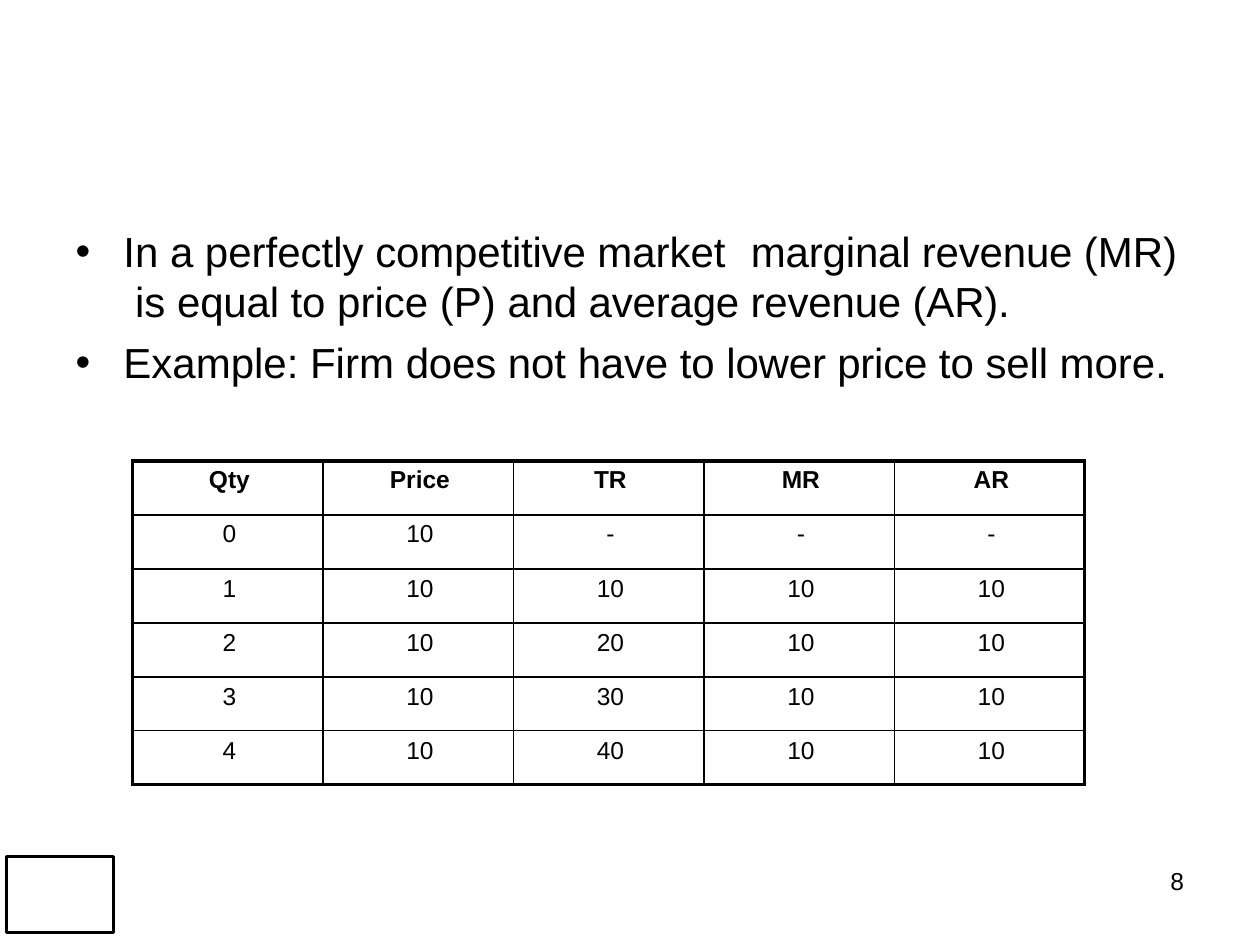
from dataclasses import dataclass

from lxml.etree import SubElement
from pptx import Presentation
from pptx.dml.color import RGBColor
from pptx.enum.shapes import MSO_SHAPE as Shape
from pptx.enum.text import MSO_ANCHOR as Anchor, PP_ALIGN as Align
from pptx.oxml.ns import qn
from pptx.util import Emu, Inches, Pt

BLACK = RGBColor(0, 0, 0)
WHITE = RGBColor(255, 255, 255)
FONT = "Arial"
SLIDE_W, SLIDE_H = Inches(10), Inches(7.5)
GRID_COLS, GRID_ROWS = 100, 75
THIN, THICK = 1, 2.25
TIGHT = -0.1


@dataclass(frozen=True)
class Box:
    col: float
    row: float
    cols: float
    rows: float

    def emu(self) -> tuple[Emu, Emu, Emu, Emu]:
        x, y = SLIDE_W / GRID_COLS, SLIDE_H / GRID_ROWS
        return (Emu(round(self.col * x)), Emu(round(self.row * y)),
                Emu(round(self.cols * x)), Emu(round(self.rows * y)))


@dataclass(frozen=True)
class Span:
    text: str
    spacing: float = 0


@dataclass(frozen=True)
class Bullet:
    spans: tuple[Span, ...]
    before: float
    tab: float | None = None


BULLETS = (
    Bullet((Span("In "), Span("a ", TIGHT), Span("perfectly "),
            Span("competitive ", TIGHT), Span("market\t"),
            Span("marginal revenue ", TIGHT), Span("(MR)  is "),
            Span("equal ", TIGHT), Span("to price (P) "),
            Span("and average revenue (AR).", TIGHT)), 1, 5.37),
    Bullet((Span("Example: "), Span("Firm "), Span("does ", TIGHT),
            Span("not "), Span("have ", TIGHT), Span("to "),
            Span("lower price ", TIGHT), Span("to "),
            Span("sell ", TIGHT), Span("more.")), 5.8),
)
REVENUE = (
    ("Qty", "Price", "TR", "MR", "AR"),
    ("0", "10", "-", "-", "-"),
    ("1", "10", "10", "10", "10"),
    ("2", "10", "20", "10", "10"),
    ("3", "10", "30", "10", "10"),
    ("4", "10", "40", "10", "10"),
)


def add_run(p, span: Span, size: float, bold: bool = False) -> None:
    r = p.add_run()
    r.text = span.text
    r.font.name, r.font.size, r.font.bold = FONT, Pt(size), bold
    r.font.color.rgb = BLACK
    if span.spacing:
        r.font._element.set("spc", str(round(span.spacing * 100)))


def set_indent(p, left: float, first: float = 0) -> None:
    pPr = p._p.get_or_add_pPr()
    pPr.set("marL", str(Inches(left)))
    pPr.set("indent", str(Inches(first)))


def add_text_frame(s, box: Box):
    tf = s.shapes.add_textbox(*box.emu()).text_frame
    tf.word_wrap = True
    tf.margin_left = tf.margin_right = tf.margin_bottom = 0
    tf.margin_top = Inches(0.01)
    return tf


def add_bullets(s, box: Box, bullets: tuple[Bullet, ...]) -> None:
    tf = add_text_frame(s, box)
    for i, bullet in enumerate(bullets):
        p = tf.add_paragraph() if i else tf.paragraphs[0]
        p.space_before = Pt(bullet.before)
        set_indent(p, 0.39, -0.38)
        pPr = p._p.get_or_add_pPr()
        SubElement(pPr, qn("a:buFont"), typeface=FONT)
        SubElement(pPr, qn("a:buChar"), char="•")
        if bullet.tab:
            tabs = SubElement(pPr, qn("a:tabLst"))
            SubElement(tabs, qn("a:tab"), pos=str(Inches(bullet.tab)), algn="l")
        for span in bullet.spans:
            add_run(p, span, 24)


def add_number(s, box: Box, number: str) -> None:
    p = add_text_frame(s, box).paragraphs[0]
    p.space_before = Pt(1)
    set_indent(p, 0.01)
    add_run(p, Span(number), 14)


def set_borders(cell, widths: dict[str, float]) -> None:
    tcPr = cell._tc.get_or_add_tcPr()
    for i, (side, width) in enumerate(widths.items()):
        ln = tcPr.makeelement(qn(f"a:ln{side}"), {"w": str(Pt(width))})
        fill = SubElement(ln, qn("a:solidFill"))
        SubElement(fill, qn("a:srgbClr"), val=str(BLACK))
        tcPr.insert(i, ln)


def add_grid_table(s, box: Box, rows: tuple[tuple[str, ...], ...]) -> None:
    n_rows, n_cols = len(rows), len(rows[0])
    frame = s.shapes.add_table(n_rows, n_cols, *box.emu())
    table = frame.table
    table.first_row = table.horz_banding = False
    for i, row in enumerate(rows):
        for j, value in enumerate(row):
            cell = table.cell(i, j)
            cell.fill.solid()
            cell.fill.fore_color.rgb = WHITE
            cell.vertical_anchor = Anchor.TOP
            cell.margin_left = cell.margin_right = cell.margin_bottom = 0
            cell.margin_top = Inches(0.05 if i > 1 else 0.04)
            p = cell.text_frame.paragraphs[0]
            p.alignment, p.space_before = Align.CENTER, Pt(3.2)
            set_indent(p, 0.03)
            add_run(p, Span(value), 14, bold=i == 0)
            set_borders(cell, {
                "L": THICK if j == 0 else THIN,
                "R": THICK if j == n_cols - 1 else THIN,
                "T": THICK if i == 0 else THIN,
                "B": THICK if i == n_rows - 1 else THIN,
            })


def add_frame(s, box: Box) -> None:
    sp = s.shapes.add_shape(Shape.RECTANGLE, *box.emu())
    sp.shadow.inherit = False
    sp.fill.background()
    sp.line.color.rgb, sp.line.width = BLACK, Pt(1.75)


def main() -> None:
    prs = Presentation()
    prs.slide_width, prs.slide_height = SLIDE_W, SLIDE_H
    s = prs.slides.add_slide(prs.slide_layouts[6])
    add_frame(s, Box(0.5, 68, 8.5, 6))
    add_bullets(s, Box(5.9, 17.8, 88, 13.1), BULLETS)
    add_number(s, Box(92.8, 68.6, 1.4, 2.6), "8")
    add_grid_table(s, Box(10.5, 36.6, 75.6, 25.7), REVENUE)
    prs.save("out.pptx")


if __name__ == "__main__":
    main()
